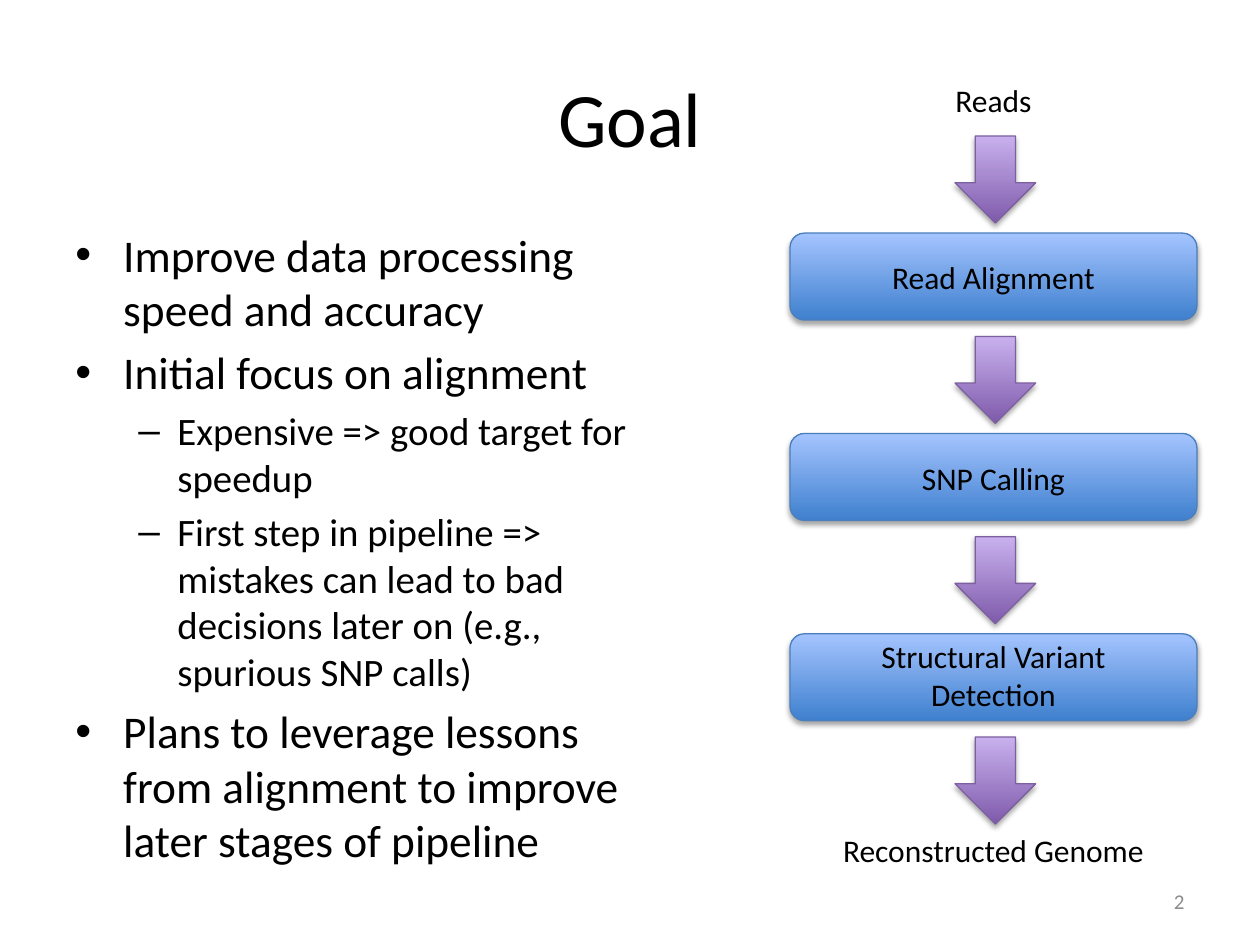
from pptx import Presentation
from pptx.dml.color import RGBColor
from pptx.enum.shapes import MSO_SHAPE
from pptx.enum.text import MSO_ANCHOR, PP_ALIGN
from pptx.oxml.ns import qn
from pptx.util import Inches, Pt
from lxml.etree import SubElement

COLORS = {
    "text": "000000", "page": "8C8C8C", "shade": "000000",
    "box_low": "3F80CE", "box_high": "A4C4FF", "box_line": "4B7EBC",
    "arrow_low": "7F5BAB", "arrow_high": "C8B0ED", "arrow_line": "7D60A0",
}


def tint(name):
    return RGBColor.from_string(COLORS[name])


class Deck:
    font = "Calibri"
    # Per bullet level: mark, size, left indent, hanging indent
    levels = [("•", 25.9, 0.38, 0.38), ("–", 22.2, 0.81, 0.31)]

    def __init__(self, wide, high):
        self.file = Presentation()
        self.file.slide_width = Inches(wide)
        self.file.slide_height = Inches(high)
        self.slide = self.file.slides.add_slide(self.file.slide_layouts[6])

    def frame(self, area, anchor=MSO_ANCHOR.TOP):
        box = self.slide.shapes.add_textbox(*map(Inches, area))
        frame = box.text_frame
        frame.word_wrap = True
        frame.vertical_anchor = anchor
        return frame

    def run(self, para, text, size, color="text"):
        run = para.add_run()
        run.text = text
        run.font.name = self.font
        run.font.size = Pt(size)
        run.font.color.rgb = tint(color)

    def text(self, area, lines, size, align=PP_ALIGN.CENTER,
             anchor=MSO_ANCHOR.TOP, color="text"):
        frame = self.frame(area, anchor)
        for i, line in enumerate(lines):
            para = frame.add_paragraph() if i else frame.paragraphs[0]
            para.alignment = align
            self.run(para, line, size, color)

    def bullets(self, area, items):
        frame = self.frame(area)
        for i, (level, line) in enumerate(items):
            para = frame.add_paragraph() if i else frame.paragraphs[0]
            mark, size, left, hang = self.levels[level]
            props = para._p.get_or_add_pPr()
            props.set("marL", str(Inches(left)))
            props.set("indent", str(-Inches(hang)))
            SubElement(props, qn("a:buFont"), typeface="Arial")
            SubElement(props, qn("a:buChar"), char=mark)
            para.level = level
            if i:
                para.space_before = Pt(round(size * 0.2, 1))
            self.run(para, line, size)

    def shape(self, kind, area, theme):
        shape = self.slide.shapes.add_shape(kind, *map(Inches, area))
        shape.fill.gradient()
        shape.fill.gradient_angle = 90
        for stop, end in zip(shape.fill.gradient_stops, ("low", "high")):
            stop.color.rgb = tint(f"{theme}_{end}")
        shape.line.color.rgb = tint(f"{theme}_line")
        shape.line.width = Pt(0.75)
        # Soft shadow straight below
        shape.shadow.inherit = False
        effects = shape._element.spPr.find(qn("a:effectLst"))
        outer = SubElement(effects, qn("a:outerShdw"), blurRad=str(Pt(3.1)),
                           dist=str(Pt(1.8)), dir="5400000", rotWithShape="0")
        shade = SubElement(outer, qn("a:srgbClr"), val=COLORS["shade"])
        SubElement(shade, qn("a:alpha"), val="35000")


def main():
    deck = Deck(10, 7.5)

    # Title and bullets
    deck.text((0.5, 0.3, 9, 1.25), ["Goal"], 44, anchor=MSO_ANCHOR.MIDDLE)
    deck.bullets((0.5, 1.75, 4.67, 5.32), [
        (0, "Improve data processing speed and accuracy"),
        (0, "Initial focus on alignment"),
        (1, "Expensive => good target for speedup"),
        (1, "First step in pipeline => mistakes can lead to bad decisions "
            "later on (e.g., spurious SNP calls)"),
        (0, "Plans to leverage lessons from alignment to improve later "
            "stages of pipeline"),
    ])

    # Pipeline: boxes and arrows alternate down one column
    left, wide, high, step = 6.27, 3.23, 0.69, 1.59
    for i in range(3):
        deck.shape(MSO_SHAPE.ROUNDED_RECTANGLE,
                   (left, 1.85 + i * step, wide, high), "box")
    for i in range(4):
        deck.shape(MSO_SHAPE.DOWN_ARROW,
                   (7.58, 1.08 + i * step, 0.64, high), "arrow")

    # Pipeline labels
    labels = [
        (0.59, ["Reads"]),
        (2, ["Read Alignment"]),
        (3.59, ["SNP Calling"]),
        (5.01, ["Structural Variant", "Detection"]),
        (6.55, ["Reconstructed Genome"]),
    ]
    for top, lines in labels:
        tall = 0.4 if len(lines) == 1 else 0.71
        deck.text((left, top, wide, tall), lines, 18)

    # Page number
    deck.text((7.17, 6.95, 2.33, 0.4), ["2"], 12, PP_ALIGN.RIGHT,
              MSO_ANCHOR.MIDDLE, "page")

    deck.file.save("out.pptx")


if __name__ == "__main__":
    main()
